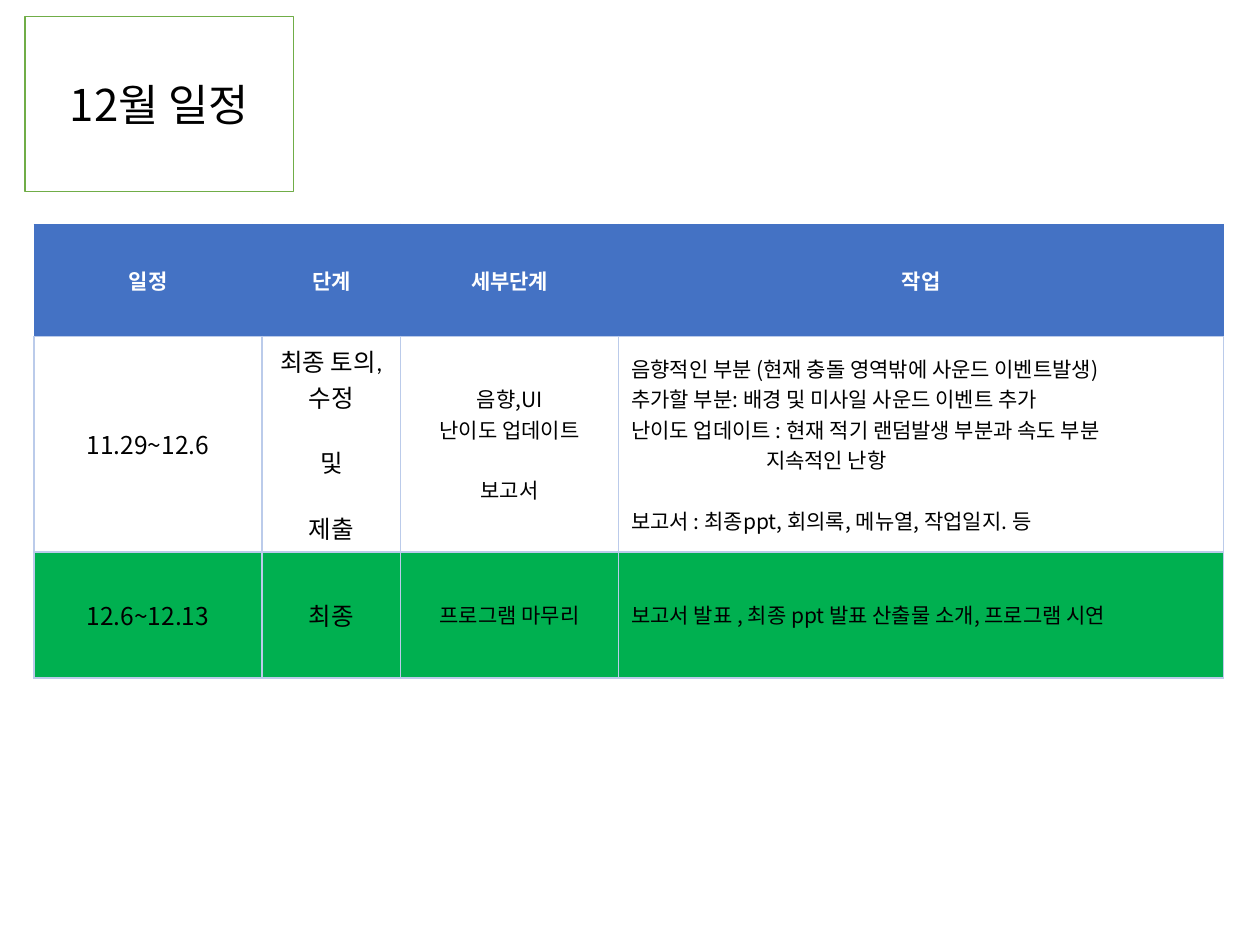
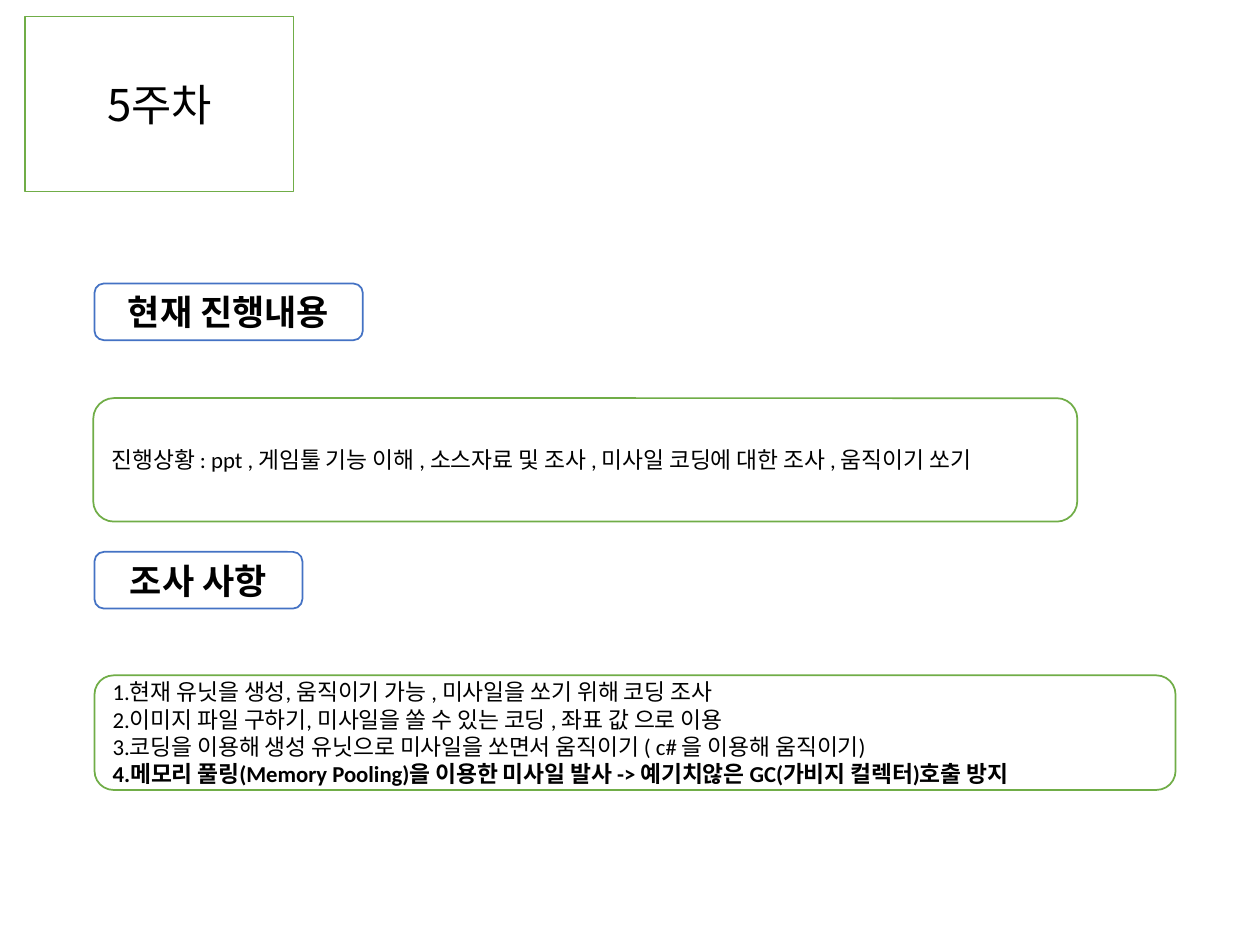
from dataclasses import dataclass

from lxml import etree
from pptx import Presentation
from pptx import util as u
from pptx.dml.color import RGBColor
from pptx.enum import shapes, text
from pptx.oxml import ns

# Shared look
PX = 9144  # 100 px to the inch
WHITE = RGBColor(0xFF, 0xFF, 0xFF)
BLACK = RGBColor(0x00, 0x00, 0x00)
GREEN = RGBColor(0x70, 0xAD, 0x47)
BLUE = RGBColor(0x44, 0x72, 0xC4)
PALE_BLUE = RGBColor(0xBB, 0xCB, 0xEA)
FINAL_GREEN = RGBColor(0x00, 0xB0, 0x50)
CALIBRI = "Calibri"
NOTO = "Noto Sans CJK KR"
CENTER = text.PP_ALIGN.CENTER
LEFT = text.PP_ALIGN.LEFT


@dataclass(frozen=True)
class Box:
    left: int
    top: int
    width: int
    height: int

    def emu(self) -> tuple:
        return tuple(px(v) for v in (self.left, self.top, self.width, self.height))


@dataclass(frozen=True)
class Line:
    text: str
    gap: int = 0  # points before the line
    indent: int = 0
    bold: bool = False


@dataclass(frozen=True)
class Column:
    heading: str
    width: int
    size: int
    font: str
    align: text.PP_ALIGN = CENTER


TITLE_BOX = Box(20, 13, 213, 139)


def px(length: int) -> u.Emu:
    return u.Emu(length * PX)


def add_child(parent, tag: str, **attributes: str):
    return etree.SubElement(parent, ns.qn(tag), attributes)


# Text
def write_text(frame, lines: list[Line], *, size: int, font: str, asian: str = NOTO,
               color: RGBColor = BLACK, bold: bool = False, align=CENTER) -> None:
    frame.word_wrap = True
    for number, line in enumerate(lines):
        paragraph = frame.add_paragraph() if number else frame.paragraphs[0]
        properties = paragraph._p.get_or_add_pPr()
        properties.set("marL", str(px(line.indent)))
        properties.set("indent", "0")
        add_child(properties, "a:buNone")
        paragraph.alignment = align
        paragraph.space_before = u.Pt(line.gap)
        run = paragraph.add_run()
        run.text = line.text
        run.font.size = u.Pt(size)
        run.font.name = font
        run.font.bold = bold or line.bold
        run.font.color.rgb = color
        add_child(run._r.get_or_add_rPr(), "a:ea", typeface=asian)


# Rounded boxes
def style_box(shape, outline: RGBColor) -> None:
    shape.fill.solid()
    shape.fill.fore_color.rgb = WHITE
    shape.line.color.rgb = outline
    shape.line.width = u.Pt(1)
    shape.shadow.inherit = False
    shape.text_frame.auto_size = text.MSO_AUTO_SIZE.NONE
    shape.text_frame.vertical_anchor = text.MSO_ANCHOR.MIDDLE


def add_rounded(slide, box: Box, outline: RGBColor):
    shape = slide.shapes.add_shape(shapes.MSO_SHAPE.ROUNDED_RECTANGLE, *box.emu())
    style_box(shape, outline)
    return shape


def round_placeholder(shape, box: Box, outline: RGBColor):
    shape.left, shape.top, shape.width, shape.height = box.emu()
    geometry = add_child(shape.element.spPr, "a:prstGeom", prst="roundRect")
    add_child(geometry, "a:avLst")
    style_box(shape, outline)
    return shape


def add_titled_slide(presentation, layout: int, title: str):
    slide = presentation.slides.add_slide(presentation.slide_layouts[layout])
    shape = round_placeholder(slide.shapes.title, TITLE_BOX, GREEN)
    write_text(shape.text_frame, [Line(title)], size=25, font=NOTO)
    return slide


def add_heading(slide, box: Box, heading: str) -> None:
    shape = add_rounded(slide, box, BLUE)
    write_text(shape.text_frame, [Line(heading)], size=20, font=CALIBRI, bold=True)


# Table
def set_borders(cell, borders: dict[str, tuple[RGBColor, float]]) -> None:
    properties = cell._tc.get_or_add_tcPr()
    for side in "LRTB":
        if side in borders:
            color, width = borders[side]
            line = add_child(properties, f"a:ln{side}", w=str(u.Pt(width)))
            add_child(add_child(line, "a:solidFill"), "a:srgbClr", val=str(color))


def style_cell(cell, fill: RGBColor, borders: dict) -> None:
    set_borders(cell, borders)
    cell.fill.solid()
    cell.fill.fore_color.rgb = fill
    cell.vertical_anchor = text.MSO_ANCHOR.MIDDLE


COLUMNS = [
    Column("일정", 181, 14, NOTO),
    Column("단계", 110, 14, CALIBRI),
    Column("세부단계", 173, 12, NOTO),
    Column("작업", 480, 12, NOTO, LEFT),
]
ROW_HEIGHTS = [89, 171, 100]
BLANK_LINE = 17
SCHEDULE = [
    (WHITE, [
        [Line("11.29~12.6")],
        [Line("최종 토의,수정"), Line("및", BLANK_LINE), Line("제출", BLANK_LINE)],
        [Line("음향,UI"), Line("난이도 업데이트"), Line("보고서", BLANK_LINE)],
        [
            Line("음향적인 부분 (현재 충돌 영역밖에 사운드 이벤트발생)"),
            Line("추가할 부분: 배경 및 미사일 사운드 이벤트 추가"),
            Line("난이도 업데이트 : 현재 적기 랜덤발생 부분과 속도 부분"),
            Line("지속적인 난항", indent=107),
            Line("보고서 : 최종ppt, 회의록, 메뉴열, 작업일지. 등", BLANK_LINE),
        ],
    ]),
    (FINAL_GREEN, [
        [Line("12.6~12.13")],
        [Line("최종")],
        [Line("프로그램 마무리")],
        [Line("보고서 발표 , 최종 ppt 발표 산출물 소개, 프로그램 시연")],
    ]),
]


def add_schedule(slide) -> None:
    box = Box(27, 178, sum(column.width for column in COLUMNS), sum(ROW_HEIGHTS))
    table = slide.shapes.add_table(len(ROW_HEIGHTS), len(COLUMNS), *box.emu()).table
    table.first_row = table.horz_banding = False
    for row, height in zip(table.rows, ROW_HEIGHTS):
        row.height = px(height)
    header_borders = {side: (BLUE, 0.5) for side in "LRT"} | {"B": (PALE_BLUE, 1)}
    body_borders = {side: (PALE_BLUE, 1) for side in "LRTB"}
    for index, column in enumerate(COLUMNS):
        table.columns[index].width = px(column.width)
        header = table.cell(0, index)
        style_cell(header, BLUE, header_borders)
        write_text(header.text_frame, [Line(column.heading)], size=12, font=CALIBRI,
                   color=WHITE, bold=True)
        for row_number, (fill, entries) in enumerate(SCHEDULE, start=1):
            cell = table.cell(row_number, index)
            style_cell(cell, fill, body_borders)
            write_text(cell.text_frame, entries[index], size=column.size,
                       font=column.font, align=column.align)


# Slides
def build_december(presentation) -> None:
    slide = add_titled_slide(presentation, 5, "12월 일정")
    add_schedule(slide)


def build_week_five(presentation) -> None:
    slide = add_titled_slide(presentation, 1, "5주차")
    add_heading(slide, Box(75, 225, 213, 45), "현재 진행내용")
    add_heading(slide, Box(75, 438, 165, 45), "조사 사항")
    progress = add_rounded(slide, Box(74, 316, 781, 98), GREEN)
    research = round_placeholder(slide.placeholders[1], Box(75, 536, 858, 91), GREEN)
    progress_lines = [
        Line("진행상황 : ppt , 게임툴 기능 이해 , 소스자료 및 조사 , "
             "미사일 코딩에 대한 조사 , 움직이기 쏘기"),
    ]
    research_lines = [
        Line("1.현재 유닛을 생성, 움직이기 가능 , 미사일을 쏘기 위해 코딩 조사"),
        Line("2.이미지 파일 구하기, 미사일을 쏠 수 있는 코딩 , 좌표 값 으로 이용"),
        Line("3.코딩을 이용해 생성 유닛으로 미사일을 쏘면서 움직이기 "
             "( c# 을 이용해 움직이기)"),
        Line("4.메모리 풀링(Memory Pooling)을 이용한 미사일 발사 -> "
             "예기치않은 GC(가비지 컬렉터)호출 방지", bold=True),
    ]
    for shape, lines in ((progress, progress_lines), (research, research_lines)):
        write_text(shape.text_frame, lines, size=13, font=CALIBRI, asian=CALIBRI,
                   align=LEFT)


def main() -> None:
    presentation = Presentation()
    presentation.slide_width, presentation.slide_height = px(1000), px(750)
    build_december(presentation)
    build_week_five(presentation)
    presentation.save("out.pptx")


if __name__ == "__main__":
    main()
